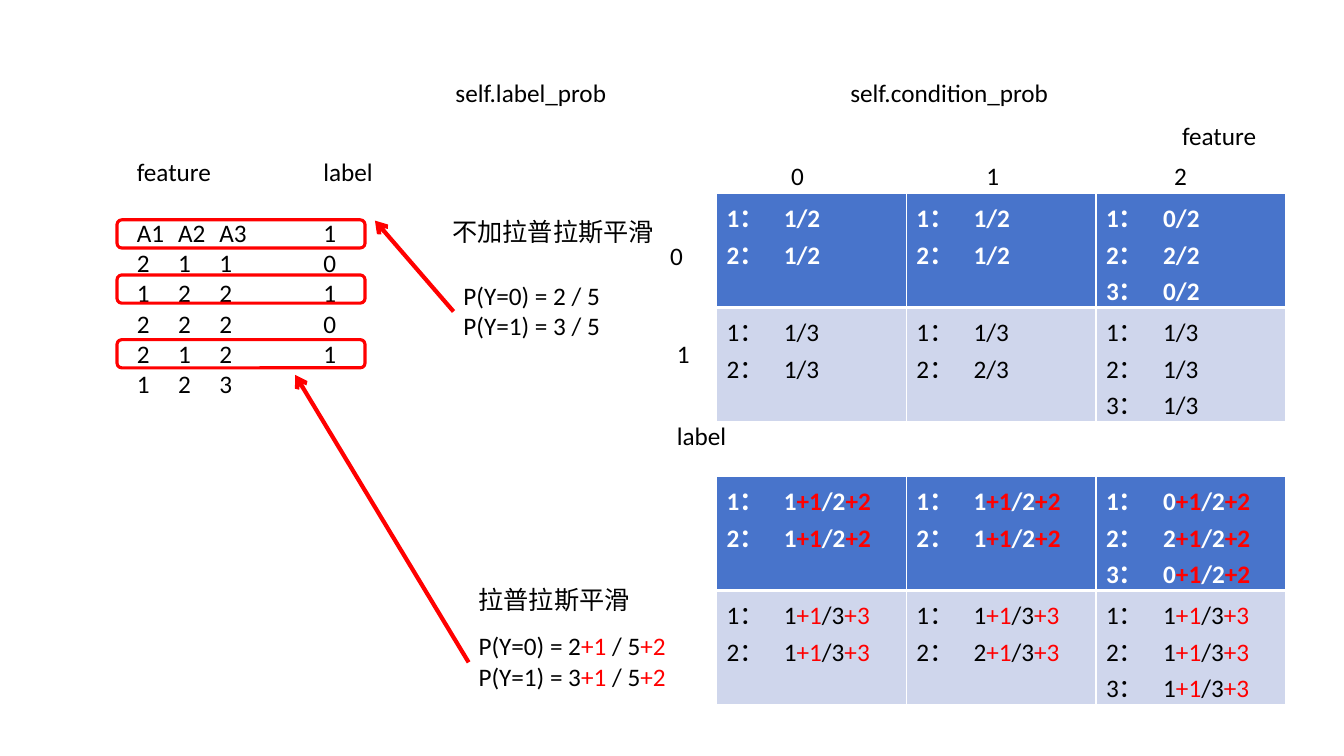
from lxml import etree
from pptx import Presentation
from pptx.dml.color import RGBColor
from pptx.enum.shapes import MSO_CONNECTOR, MSO_SHAPE
from pptx.oxml.ns import qn
from pptx.util import Cm, Pt

ROUNDED = MSO_SHAPE.ROUNDED_RECTANGLE
STRAIGHT = MSO_CONNECTOR.STRAIGHT
FONT, SIZE = "Calibri", 18
BLACK, WHITE, RED = "000000", "FFFFFF", "FF0000"
ROW_FILLS = ("4874CB", "CFD6EC")
SAMPLES = ["A1\tA2\tA3", "2\t1\t1", "1\t2\t2", "2\t2\t2", "2\t1\t2", "1\t2\t3"]
LABELS = ["1", "0", "1", "0", "1"]
COUNTS = [[(1, 1), (1, 1), (0, 2, 0)], [(1, 1), (1, 2), (1, 1, 1)]]
TOTALS = (2, 3)


def rgb(color):
    """Turn a hex string into a colour."""
    return RGBColor.from_string(color)


def add_tabs(p, stops):
    """Set left tab stops, in centimetres, on a paragraph."""
    tabs = etree.SubElement(p._p.get_or_add_pPr(), qn("a:tabLst"))
    for stop in stops:
        etree.SubElement(tabs, qn("a:tab"), pos=str(Cm(stop)), algn="l")


def add_runs(p, parts, color=BLACK, bold=False):
    """Write the parts as runs, with every second one in red."""
    for i, part in enumerate(parts):
        r = p.add_run()
        r.text = part
        r.font.name, r.font.size, r.font.bold = FONT, Pt(SIZE), bold
        r.font.color.rgb = rgb(RED if i % 2 else color)


def add_lines(tf, lines, stops=(), color=BLACK, bold=False):
    """Fill a text frame with one paragraph for each line of parts."""
    for i, parts in enumerate(lines):
        p = tf.paragraphs[0] if i == 0 else tf.add_paragraph()
        if stops:
            add_tabs(p, stops)
        add_runs(p, parts, color, bold)


def add_text(s, left, top, width, height, lines, stops=()):
    """Add a wrapping text box."""
    sp = s.shapes.add_textbox(Cm(left), Cm(top), Cm(width), Cm(height))
    tf = sp.text_frame
    tf.word_wrap = True
    add_lines(tf, lines, stops)
    return tf


def add_column(s, left, heading, values, stops=()):
    """Add a sample column with a gap of one line below its heading."""
    lines = [[heading]] + [[value] for value in values]
    tf = add_text(s, left, 3.81, 3.91, 5.64, lines, stops)
    tf.paragraphs[0].space_after = Pt(22)


def add_frame(s, top):
    """Outline one sample row in red."""
    sp = s.shapes.add_shape(ROUNDED, Cm(2.95), Cm(top), Cm(6.25), Cm(0.71))
    sp.shadow.inherit = False
    sp.fill.background()
    sp.line.color.rgb = rgb(RED)
    sp.line.width = Pt(2.25)


def add_arrow(s, x1, y1, x2, y2):
    """Add a red line with an open arrowhead at its end."""
    line = s.shapes.add_connector(STRAIGHT, Cm(x1), Cm(y1), Cm(x2), Cm(y2))
    line.line.color.rgb = rgb(RED)
    line.line.width = Pt(3)
    etree.SubElement(line.line._get_or_add_ln(), qn("a:tailEnd"), type="arrow")
    etree.SubElement(line._element.spPr, qn("a:effectLst"))


def add_borders(cell, widths):
    """Draw white cell borders from a mapping of side to points."""
    tcPr = cell._tc.get_or_add_tcPr()
    for i, (side, width) in enumerate(widths.items()):
        ln = etree.Element(qn(f"a:ln{side}"), w=str(Pt(width)))
        fill = etree.SubElement(ln, qn("a:solidFill"))
        etree.SubElement(fill, qn("a:srgbClr"), val=WHITE)
        tcPr.insert(i, ln)


def cell_lines(counts, total, smoothed):
    """List the fractions of a cell, with or without smoothing terms."""
    lines = []
    for value, count in enumerate(counts, 1):
        start = f"{value}：\t{count}"
        if smoothed:
            lines.append([start, "+1", f"/{total}", f"+{total}"])
        else:
            lines.append([f"{start}/{total}"])
    return lines


def add_prob_table(s, top, smoothed):
    """Add the table of conditional probabilities."""
    frame = s.shapes.add_table(2, 3, Cm(18.06), Cm(top), Cm(14.34), Cm(5.74))
    table = frame.table
    for i, row in enumerate(COUNTS):
        head = i == 0
        for j, counts in enumerate(row):
            cell = table.cell(i, j)
            cell.fill.solid()
            cell.fill.fore_color.rgb = rgb(ROW_FILLS[i])
            add_lines(cell.text_frame, cell_lines(counts, TOTALS[i], smoothed),
                      [1.44], WHITE if head else BLACK, head)
            add_borders(cell, {"L": 1, "R": 1, "T": 1 if head else 3,
                               "B": 3 if head else 1})


def main():
    """Build the slide and save it."""
    prs = Presentation()
    prs.slide_width, prs.slide_height = Cm(33.87), Cm(19.05)
    s = prs.slides.add_slide(prs.slide_layouts[6])

    add_column(s, 3.2, "feature", SAMPLES, [1.04, 2.08])
    add_column(s, 7.9, "label", LABELS)
    for top in (5.54, 6.93, 8.56):
        add_frame(s, top)
    add_arrow(s, 11.43, 7.85, 9.45, 5.56)

    add_prob_table(s, 4.88, False)
    add_prob_table(s, 12.01, True)
    for left, top, width, text in (
            (11.23, 1.83, 4.42, "self.label_prob"),
            (21.18, 1.83, 6.35, "self.condition_prob"),
            (19.69, 3.91, 1.78, "0"),
            (24.61, 3.91, 1.78, "1"),
            (29.34, 3.91, 1.78, "2"),
            (29.54, 2.9, 3.53, "feature"),
            (16.81, 10.46, 1.78, "label"),
            (16.64, 5.92, 1.78, "0"),
            (16.81, 8.41, 1.78, "1"),
            (11.15, 5.33, 5.66, "不加拉普拉斯平滑"),
            (11.81, 14.61, 4.72, "拉普拉斯平滑")):
        add_text(s, left, top, width, 1.02, [[text]])

    add_text(s, 11.43, 6.93, 4.42, 1.8, [["P(Y=0) = 2 / 5"], ["P(Y=1) = 3 / 5"]])
    add_text(s, 11.81, 15.77, 5.56, 1.8,
             [[f"P(Y={y}) = {n}", "+1", " / 5", "+2"] for y, n in enumerate((2, 3))])
    add_arrow(s, 11.81, 16.69, 7.44, 9.45)
    prs.save("out.pptx")


if __name__ == "__main__":
    main()
